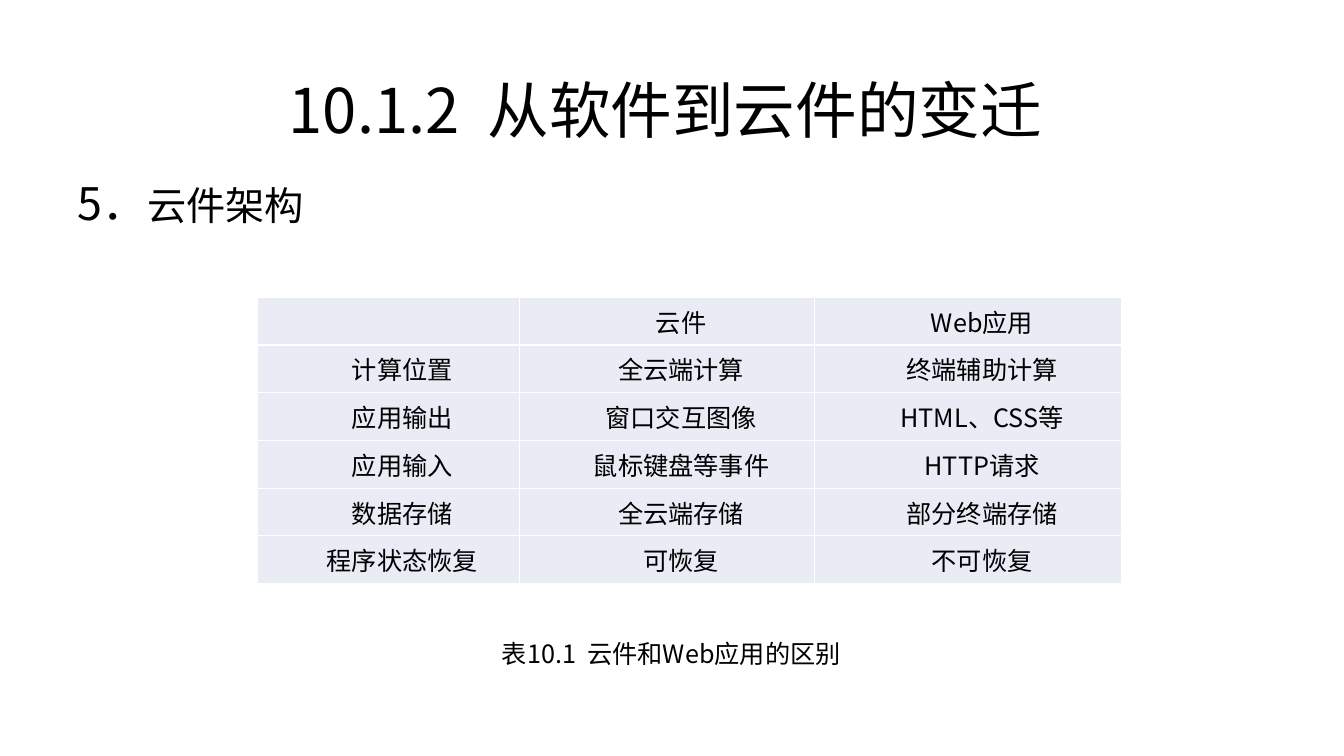
from pptx import Presentation
from pptx.dml.color import RGBColor
from pptx.enum.text import MSO_ANCHOR, PP_ALIGN
from pptx.oxml import parse_xml
from pptx.oxml.ns import nsdecls, qn
from pptx.util import Inches, Pt
from lxml.etree import SubElement

FONT = "Noto Sans CJK SC"
BLACK, WHITE, CELL_FILL = "000000", "FFFFFF", "E9EBF5"
COLUMN_WIDTHS = [2.6, 2.93, 3.04]
COMPARISON = [
    ["", "云件", "Web应用"],
    ["计算位置", "全云端计算", "终端辅助计算"],
    ["应用输出", "窗口交互图像", "HTML、CSS等"],
    ["应用输入", "鼠标键盘等事件", "HTTP请求"],
    ["数据存储", "全云端存储", "部分终端存储"],
    ["程序状态恢复", "可恢复", "不可恢复"],
]


def color(value):
    return RGBColor.from_string(value)


def apply(target, settings):
    for name, value in settings.items():
        setattr(target, name, value)


def add_span(para, text, size):
    span = para.add_run()
    span.text = text
    apply(span.font, {"size": Pt(size), "name": FONT})
    span.font.color.rgb = color(BLACK)
    SubElement(span.font._element, qn("a:ea"), typeface=FONT)


def set_indent(para, margin, first_line):
    properties = para._p.get_or_add_pPr()
    properties.set("marL", str(Inches(margin)))
    properties.set("indent", str(Inches(first_line)))


def add_text_box(page, box):
    frame = page.shapes.add_textbox(*map(Inches, box)).text_frame
    frame.word_wrap = True
    return frame.paragraphs[0]


def write_title(page, box):
    title = page.shapes.title
    apply(title, dict(zip(("left", "top", "width", "height"), map(Inches, box))))
    title.text_frame.vertical_anchor = MSO_ANCHOR.MIDDLE
    para = title.text_frame.paragraphs[0]
    apply(para, {"alignment": PP_ALIGN.CENTER, "line_spacing": 0.9})
    add_span(para, "10.1.2  从软件到云件的变迁 ", 44)


def write_heading(page, box):
    para = add_text_box(page, box)
    apply(para, {"line_spacing": 0.9, "space_before": Pt(10)})
    set_indent(para, 0.25, -0.25)
    add_span(para, "5．", 32)
    add_span(para, "云件架构", 28)


def add_borders(cell):
    properties = cell._tc.get_or_add_tcPr()
    for index, side in enumerate(("lnL", "lnR", "lnT", "lnB")):
        properties.insert(index, parse_xml(
            f'<a:{side} {nsdecls("a")} w="{Pt(1)}"><a:solidFill>'
            f'<a:srgbClr val="{WHITE}"/></a:solidFill></a:{side}>'))


def fill_cell(cell, text):
    cell.fill.solid()
    cell.fill.fore_color.rgb = color(CELL_FILL)
    add_borders(cell)
    apply(cell, {
        "vertical_anchor": MSO_ANCHOR.MIDDLE,
        "margin_left": Inches(0.07), "margin_right": Inches(0.07),
        "margin_top": 0, "margin_bottom": 0,
    })
    if text:
        para = cell.text_frame.paragraphs[0]
        apply(para, {"alignment": PP_ALIGN.CENTER,
                     "space_before": Pt(3.1), "space_after": Pt(3.1)})
        set_indent(para, 0, 0.28)
        add_span(para, text, 18)


def draw_comparison(page, box):
    table = page.shapes.add_table(
        len(COMPARISON), len(COLUMN_WIDTHS), *map(Inches, box)).table
    apply(table, {"first_row": False, "horz_banding": False})
    for column, width in zip(table.columns, COLUMN_WIDTHS):
        column.width = Inches(width)
    for row, texts in zip(table.rows, COMPARISON):
        row.height = Inches(box[3] / len(COMPARISON))
        for cell, text in zip(row.cells, texts):
            fill_cell(cell, text)


def write_caption(page, box):
    add_span(add_text_box(page, box), "表10.1  云件和Web应用的区别", 18)


def main():
    deck = Presentation()
    apply(deck, {"slide_width": Inches(13.33), "slide_height": Inches(7.5)})
    page = deck.slides.add_slide(deck.slide_layouts[5])
    write_title(page, (0.92, 0.4, 11.5, 1.45))
    write_heading(page, (0.67, 1.75, 12.03, 5.15))
    draw_comparison(page, (2.55, 2.95, sum(COLUMN_WIDTHS), 2.84))
    write_caption(page, (4.88, 6.28, 3.57, 0.4))
    deck.save("out.pptx")


if __name__ == "__main__":
    main()
